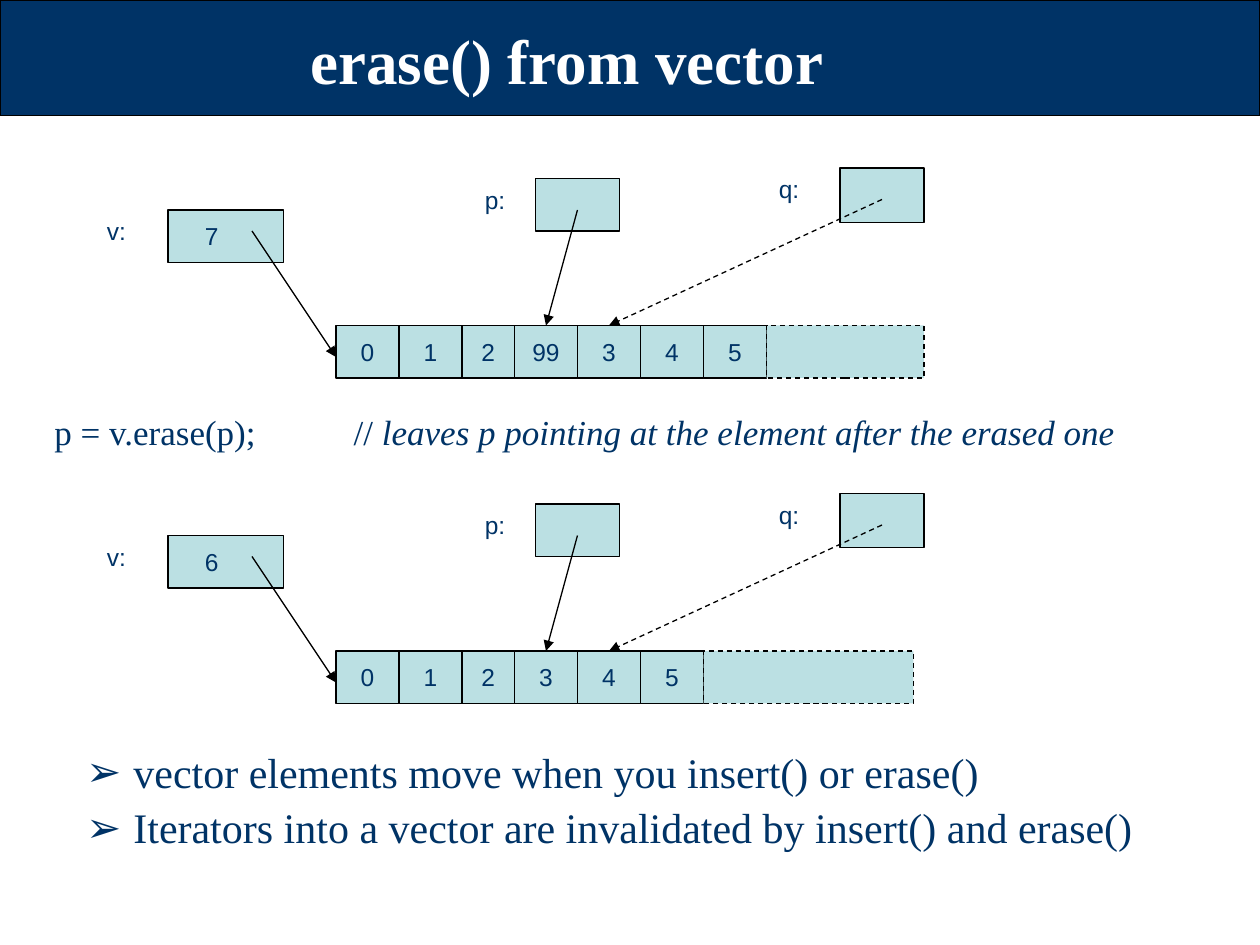
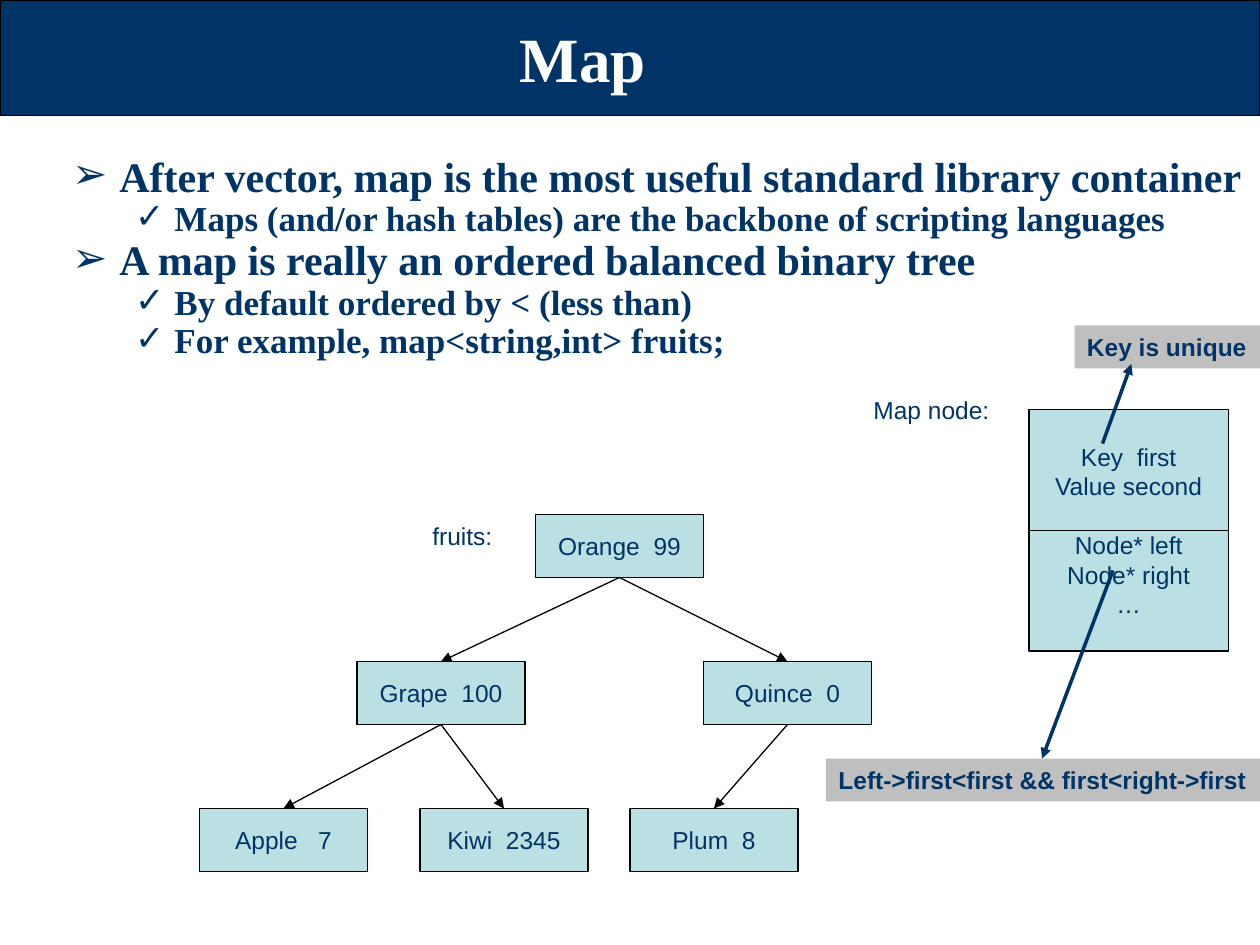
from lxml.etree import SubElement
from pptx import Presentation
from pptx.dml.color import RGBColor
from pptx.enum.dml import MSO_LINE_DASH_STYLE as Dash
from pptx.enum.shapes import MSO_CONNECTOR as Connector, MSO_SHAPE as Shape
from pptx.enum.text import MSO_ANCHOR as Anchor, MSO_AUTO_SIZE as AutoSize, PP_ALIGN as Align
from pptx.oxml.ns import qn
from pptx.util import Pt

NAVY = RGBColor(0x00, 0x33, 0x66)
AQUA = RGBColor(0xBB, 0xE0, 0xE3)
GREY = RGBColor(0xBF, 0xBF, 0xBF)
BLACK = RGBColor(0x00, 0x00, 0x00)
WHITE = RGBColor(0xFF, 0xFF, 0xFF)
SERIF, SANS = "Times New Roman", "Arial"

# Bullet character, left margin, text size and space before, by list level
LEVELS = [("➢", 27, 24, 6), ("✓", 58.5, 20, 5)]
HANGING = [27, 22.5]
LABEL_HEIGHT = 24.5


def place(shape, left, top, width, height):
    shape.left, shape.top = Pt(left), Pt(top)
    shape.width, shape.height = Pt(width), Pt(height)


def add_text(para, text, *, font=SANS, size=14, color=NAVY, bold=False, italic=False,
             align=None, before=0, spacing=None):
    """Append one formatted span to a paragraph."""
    para.space_before = Pt(before)
    if align is not None:
        para.alignment = align
    if spacing:
        para.line_spacing = spacing
    span = para.add_run()
    span.text = text
    span.font.name, span.font.size = font, Pt(size)
    span.font.bold, span.font.italic = bold, italic
    span.font.color.rgb = color


def next_para(frame, index):
    return frame.add_paragraph() if index else frame.paragraphs[0]


# Shapes, labels and lines
def add_box(page, left, top, width, height, lines=(), *, fill=AQUA, line=BLACK,
            dash=None, align=Align.CENTER, bold=False, gaps=None):
    box = page.shapes.add_shape(Shape.RECTANGLE, Pt(left), Pt(top), Pt(width), Pt(height))
    box.shadow.inherit = False
    box.fill.solid()
    box.fill.fore_color.rgb = fill
    if line is None:
        box.line.fill.background()
    else:
        box.line.color.rgb, box.line.width = line, Pt(0.75)
    if dash:
        box.line.dash_style = dash
    frame = box.text_frame
    frame.word_wrap, frame.vertical_anchor = False, Anchor.MIDDLE
    for index, text in enumerate(lines):
        add_text(next_para(frame, index), text, align=align, bold=bold,
                 before=(gaps or {}).get(index, 0))
    return box


def add_text_box(page, left, top, width, height):
    box = page.shapes.add_textbox(Pt(left), Pt(top), Pt(width), Pt(height))
    box.text_frame.word_wrap = True
    return box.text_frame.paragraphs[0]


def add_label(page, text, left, top, width):
    add_text(add_text_box(page, left, top, width, LABEL_HEIGHT), text)


def add_line(page, start, end, *, color=BLACK, width=0.75, dash=None, arrow=True):
    points = [Pt(value) for value in (*start, *end)]
    line = page.shapes.add_connector(Connector.STRAIGHT, *points)
    line.line.color.rgb, line.line.width = color, Pt(width)
    if dash:
        line.line.dash_style = dash
    properties = line.element.spPr
    if arrow:
        SubElement(properties.find(qn("a:ln")), qn("a:tailEnd"), type="triangle")
    SubElement(properties, qn("a:effectLst"))
    return line


# Title and bullet list
def add_page(deck, title, area):
    page = deck.slides.add_slide(deck.slide_layouts[1])
    place(page.shapes.title, *area)
    frame = page.shapes.title.text_frame
    frame.auto_size, frame.vertical_anchor = AutoSize.NONE, Anchor.MIDDLE
    add_text(frame.paragraphs[0], title, font=SERIF, size=36, color=WHITE, bold=True,
             align=Align.CENTER)
    return page


def add_bullet(para, level):
    char, margin = LEVELS[level][:2]
    properties = para._p.get_or_add_pPr()
    properties.set("marL", str(Pt(margin)))
    properties.set("indent", str(-Pt(HANGING[level])))
    color = SubElement(properties, qn("a:buClr"))
    SubElement(color, qn("a:srgbClr"), val=str(NAVY))
    SubElement(properties, qn("a:buChar"), char=char)


def fill_list(page, area, items, *, bold=False, spacing=0.9):
    body = page.placeholders[1]
    place(body, *area)
    body.text_frame.auto_size = AutoSize.NONE
    for index, (level, text) in enumerate(items):
        para = next_para(body.text_frame, index)
        para.level = level
        size, before = LEVELS[level][2:]
        add_text(para, text, font=SERIF, size=size, bold=bold, before=before, spacing=spacing)
        add_bullet(para, level)


def add_band(deck, page):
    """Move a title band from the page to the layout that all pages share."""
    band = add_box(page, 0, 0, 720, 66, fill=NAVY)
    page.slide_layout.shapes.element.insert(2, band.element)


# Slide 1: a vector with its iterators
def draw_vector(page, top, values, spare_end):
    row = top + 90
    header = add_box(page, 96, top + 24, 66, 30, [str(len(values))])
    header.text_frame.margin_right = Pt(23)
    left = 192
    for index, value in enumerate(values):
        width = 30 if index == 2 else 36
        add_box(page, left, row, width, 30, [value])
        left += width
    add_box(page, left, row, spare_end - left, 30, dash=Dash.DASH)

    add_label(page, "v:", 54, top + 24, 42)
    add_line(page, (144, top + 36), (192, row + 18))
    add_box(page, 306, top + 6, 48, 30)
    add_label(page, "p:", 270, top + 6, 36)
    add_line(page, (330, top + 24), (312, row))
    add_box(page, 480, top, 48, 31)
    add_label(page, "q:", 438, top, 36)
    add_line(page, (504, top + 18), (348, row), dash=Dash.DASH)


def add_code_line(page):
    para = add_text_box(page, 24, 234, 648, 42)
    style = dict(font=SERIF, size=20, before=5, spacing=0.9)
    add_text(para, "p = v.erase(p);\t// ", **style)
    add_text(para, "leaves p pointing at the element after the erased one", italic=True, **style)
    tabs = SubElement(para._p.get_or_add_pPr(), qn("a:tabLst"))
    SubElement(tabs, qn("a:tab"), pos=str(Pt(171)), algn="l")


def build_erase_page(deck):
    page = add_page(deck, "erase() from vector", (0, 0, 648, 67.5))
    add_band(deck, page)
    fill_list(page, (42, 426, 678, 97), [
        (0, "vector elements move when you insert() or erase()"),
        (0, "Iterators into a vector are invalidated by insert() and erase()"),
    ])
    draw_vector(page, 96, ["0", "1", "2", "99", "3", "4", "5"], 528)
    add_code_line(page)
    draw_vector(page, 282, ["0", "1", "2", "3", "4", "5"], 522)


# Slide 2: a map as a tree, and one of its nodes
def draw_tree(page):
    nodes = {}
    for text, parent, left, depth in [
        ("Orange  99", None, 306, 0),
        ("Grape  100", "Orange  99", 204, 1),
        ("Quince  0", "Orange  99", 402, 1),
        ("Apple   7", "Grape  100", 114, 2),
        ("Kiwi  2345", "Grape  100", 240, 2),
        ("Plum  8", "Quince  0", 360, 2),
    ]:
        nodes[text] = add_box(page, left, 294 + 84 * depth, 96, 36, [text])
        if parent:
            branch = add_line(page, (0, 0), (0, 0))
            branch.begin_connect(nodes[parent], 2)
            branch.end_connect(nodes[text], 0)
    add_label(page, "fruits:", 240, 294, 78)


def add_note(page, text, left, top, width):
    add_box(page, left, top, width, LABEL_HEIGHT, [text], fill=GREY, line=None,
            align=Align.LEFT, bold=True)


def draw_map_node(page):
    lines = ["Key  first", "Value second", "Node* left", "Node* right", "…"]
    add_box(page, 588, 234, 114, 138, lines, gaps={2: 17})
    add_label(page, "Map node:", 492, 222, 102)
    add_line(page, (588, 303), (702, 303), arrow=False)
    add_note(page, "Key is unique", 614, 186, 106)
    add_line(page, (630, 253.5), (646.5, 208), color=NAVY, width=2)
    add_note(page, "Left->first<first && first<right->first", 472, 433.5, 248)
    add_line(page, (636, 326), (595.5, 433.5), color=NAVY, width=2)


def build_map_page(deck):
    page = add_page(deck, "Map", (18, 6, 630, 54))
    fill_list(page, (34, 90, 686, 126), [
        (0, "After vector, map is the most useful standard library container"),
        (1, "Maps (and/or hash tables) are the backbone of scripting languages"),
        (0, "A map is really an ordered balanced binary tree"),
        (1, "By default ordered by < (less than)"),
        (1, "For example, map<string,int> fruits;"),
    ], bold=True, spacing=0.7)
    draw_tree(page)
    draw_map_node(page)


def main():
    deck = Presentation()
    deck.slide_width, deck.slide_height = Pt(720), Pt(540)
    build_erase_page(deck)
    build_map_page(deck)
    deck.save("out.pptx")


if __name__ == "__main__":
    main()
